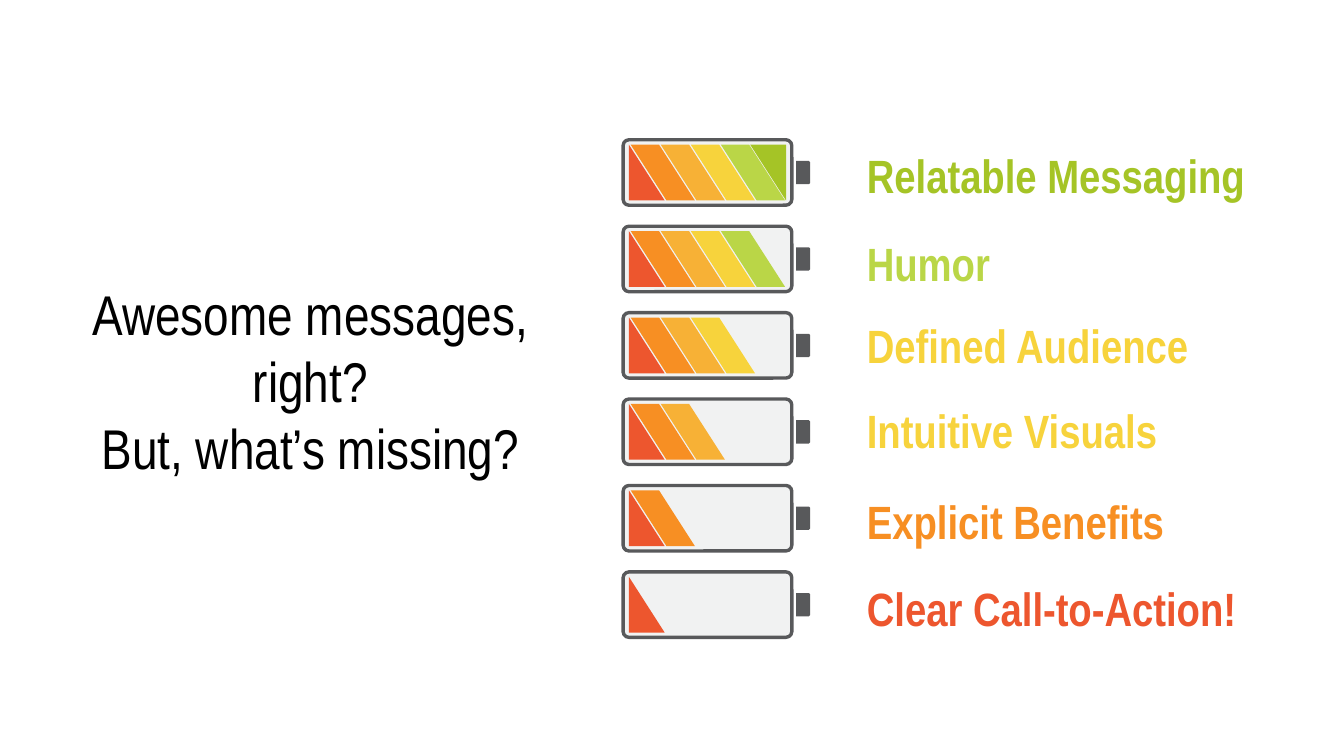
from pptx import Presentation
from pptx.dml.color import RGBColor
from pptx.enum import shapes, text
from pptx.util import Pt

FONT = "Arial Narrow"
BLACK = RGBColor(0x00, 0x00, 0x00)
CASE = RGBColor(0x58, 0x59, 0x5B)
EMPTY = RGBColor(0xF1, 0xF2, 0xF2)
RED = RGBColor(0xED, 0x56, 0x2E)
ORANGE = RGBColor(0xF7, 0x8F, 0x23)
AMBER = RGBColor(0xF7, 0xB1, 0x36)
YELLOW = RGBColor(0xF7, 0xD3, 0x3C)
LIME = RGBColor(0xBA, 0xD6, 0x47)
GREEN = RGBColor(0xA5, 0xC4, 0x26)

STRIPES = [ORANGE, AMBER, YELLOW, LIME]
CASE_LINE = 1.8

# Label, colour, top and height of its box, from the fullest battery down
MESSAGES = [
    ("Relatable Messaging", GREEN, 71.3, 44.6),
    ("Humor", LIME, 119.5, 42.5),
    ("Defined Audience", YELLOW, 164.2, 41),
    ("Intuitive Visuals", YELLOW, 208.8, 42.5),
    ("Explicit Benefits", ORANGE, 258.5, 41),
    ("Clear Call-to-Action!", RED, 304.6, 42.5),
]


def style_text(frame, size, colour, bold, side_inset):
    frame.word_wrap = True
    frame.auto_size = text.MSO_AUTO_SIZE.NONE
    frame.vertical_anchor = text.MSO_ANCHOR.MIDDLE
    frame.margin_left = frame.margin_right = Pt(side_inset)
    frame.margin_top = frame.margin_bottom = Pt(7.2)
    for run in frame.paragraphs[0].runs:
        run.font.name = FONT
        run.font.size = Pt(size)
        run.font.bold = bold
        run.font.color.rgb = colour


def place_question(slide, left, top, width, height):
    question = slide.shapes.title
    question.left, question.top = Pt(left), Pt(top)
    question.width, question.height = Pt(width), Pt(height)
    question.text_frame.text = "Awesome messages, right?\vBut, what’s missing?"
    question.text_frame.paragraphs[0].alignment = text.PP_ALIGN.CENTER
    style_text(question.text_frame, 30, BLACK, False, 7.2)


def add_polygon(group, left, top, points, colour):
    """Fill an outline whose points are offsets from left and top."""
    corners = [(Pt(left + x), Pt(top + y)) for x, y in points]
    builder = group.shapes.build_freeform(*corners[0])
    builder.add_line_segments(corners[1:])
    polygon = builder.convert_to_shape()
    polygon.shadow.inherit = False
    polygon.fill.solid()
    polygon.fill.fore_color.rgb = colour
    polygon.line.fill.background()


def add_battery(slide, left, top, width, height, charge):
    """Draw a battery with the first `charge` of its six cells filled."""
    group = slide.shapes.add_group_shape()
    edge = CASE_LINE / 2
    case = group.shapes.add_shape(
        shapes.MSO_SHAPE.ROUNDED_RECTANGLE, Pt(left + edge), Pt(top + edge),
        Pt(width - CASE_LINE), Pt(height - CASE_LINE))
    case.adjustments[0] = 0.09
    case.shadow.inherit = False
    case.fill.solid()
    case.fill.fore_color.rgb = EMPTY
    case.line.color.rgb = CASE
    case.line.width = Pt(CASE_LINE)

    cap_w, cap_h, bevel = 7.5, 12.5, 0.7
    cap = [(0, 0), (cap_w - bevel, 0), (cap_w, bevel),
           (cap_w, cap_h - bevel), (cap_w - bevel, cap_h), (0, cap_h)]
    add_polygon(group, left + width + 1.4, top + (height - cap_h) / 2, cap, CASE)

    inset, slant, stripe_w, pitch = 4, 19.2, 15.2, 16.1
    cell_h = height - 2 * 3.5
    stripe = [(0, 0), (slant, cell_h), (slant + stripe_w, cell_h), (stripe_w, 0)]
    first = [(0, 0), (0, cell_h), (slant, cell_h)]
    last = [(-slant, 0), (0, cell_h), (0, 0)]
    cells = [(inset, first, RED)]
    cells += [(inset + 1 + i * pitch, stripe, colour)
              for i, colour in enumerate(STRIPES)]
    cells.append((width - inset, last, GREEN))
    for x, outline, colour in cells[:charge]:
        add_polygon(group, left + x, top + 3.5, outline, colour)


def add_label(slide, left, top, width, height, wording, colour):
    label = slide.shapes.add_textbox(Pt(left), Pt(top), Pt(width), Pt(height))
    label.text_frame.text = wording
    style_text(label.text_frame, 25, colour, True, 10.8)


def main():
    deck = Presentation()
    deck.slide_width, deck.slide_height = Pt(720), Pt(405)
    slide = deck.slides.add_slide(deck.slide_layouts[5])
    place_question(slide, 18.7, 152.6, 295.2, 102.2)
    for row, (wording, colour, top, height) in enumerate(MESSAGES):
        add_battery(slide, 332.9, 74 + row * 46.3, 92.2, 36.9,
                    len(MESSAGES) - row)
        add_label(slide, 453.6, top, 252, height, wording, colour)
    deck.save("out.pptx")


if __name__ == "__main__":
    main()
